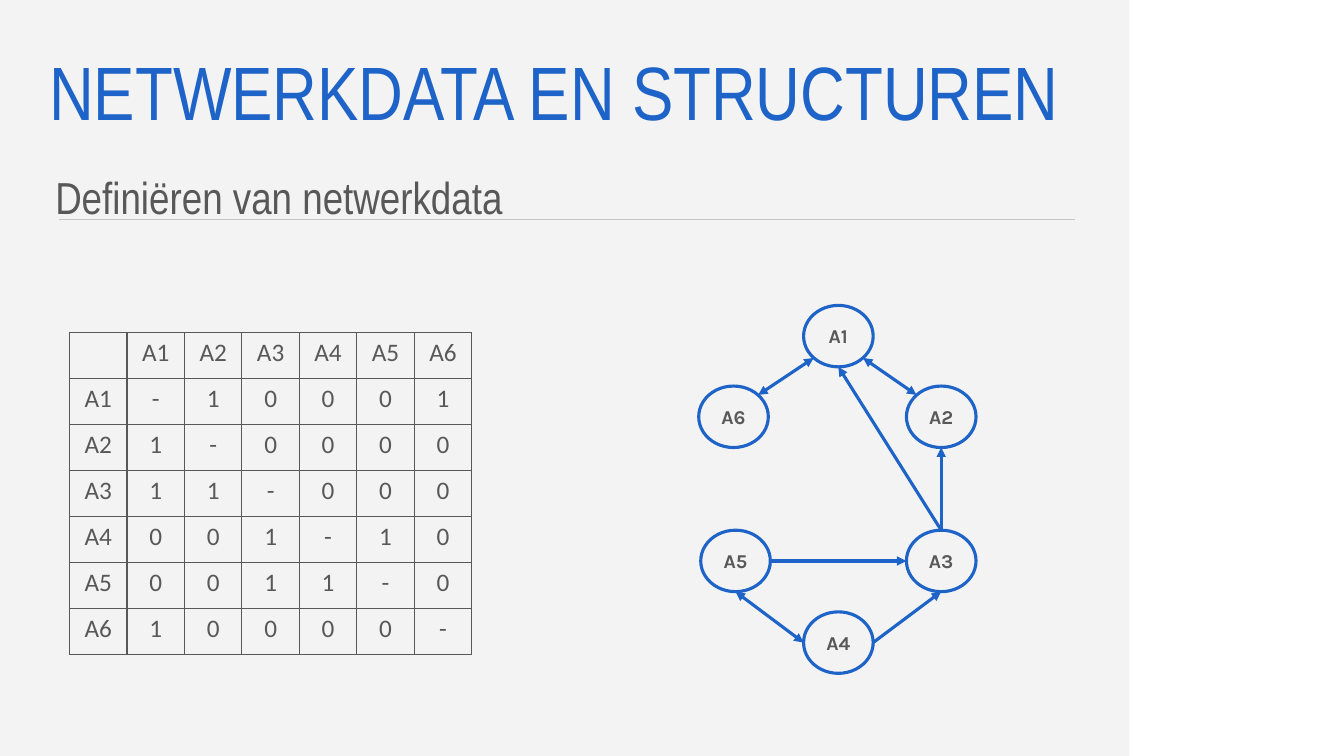
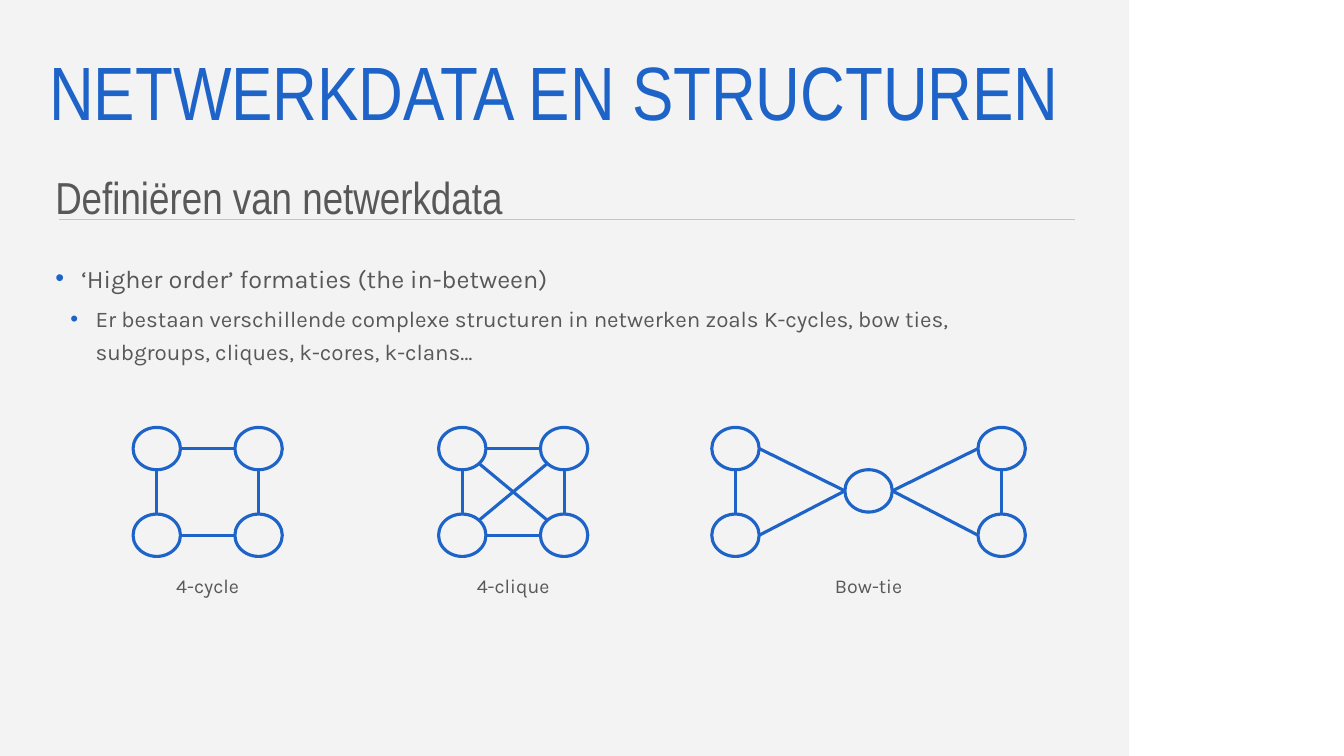
from lxml import etree
from pptx import Presentation
from pptx.dml.color import RGBColor
from pptx.enum.shapes import MSO_CONNECTOR, MSO_SHAPE
from pptx.enum.text import MSO_ANCHOR, PP_ALIGN
from pptx.oxml.ns import qn
from pptx.util import Inches, Pt

RECT, OVAL = MSO_SHAPE.RECTANGLE, MSO_SHAPE.OVAL
STRAIGHT = MSO_CONNECTOR.STRAIGHT
TOP, MIDDLE = MSO_ANCHOR.TOP, MSO_ANCHOR.MIDDLE
LEFT, CENTER = PP_ALIGN.LEFT, PP_ALIGN.CENTER

WHITE = RGBColor(0xFF, 0xFF, 0xFF)
PANEL = RGBColor(0xF3, 0xF3, 0xF3)
RULE = RGBColor(0xC6, 0xC6, 0xC6)
BLUE = RGBColor(0x1E, 0x64, 0xC8)
GREY = RGBColor(0x58, 0x58, 0x58)
HEAD_FONT, BODY_FONT, TABLE_FONT = "Arial Narrow", "Karla", "Calibri"

TITLE = "NETWERKDATA EN STRUCTUREN"
SUBTITLE = "Definiëren van netwerkdata"
BULLETS = [
    ("‘Higher order’ formaties (the in-between)", 18, 0.26, -0.26),
    ("Er bestaan verschillende complexe structuren in netwerken zoals K-cycles, "
     "bow ties, subgroups, cliques, k-cores, k-clans…", 16, 0.4, -0.25),
]

MATRIX = ["-10001", "1-0000", "11-000", "001-10", "0011-0", "10000-"]
ACTORS = [f"A{i}" for i in range(1, 7)]

DIAGONAL = 0.71
PORTS = {
    "t": (0, -1), "b": (0, 1), "l": (-1, 0), "r": (1, 0),
    "tl": (-DIAGONAL, -DIAGONAL), "tr": (DIAGONAL, -DIAGONAL),
    "bl": (-DIAGONAL, DIAGONAL), "br": (DIAGONAL, DIAGONAL),
}

ACTOR_SIZE = (0.69, 0.61)
ACTOR_NODES = {
    "A1": (1.04, 0), "A6": (0, 0.8), "A2": (2.06, 0.8),
    "A3": (2.06, 2.23), "A4": (1.04, 3.04), "A5": (0.02, 2.23),
}
ACTOR_LINKS = [
    ("A3", "t", "A1", "b", "one"), ("A5", "r", "A3", "l", "one"),
    ("A4", "r", "A3", "b", "one"), ("A6", "tr", "A1", "bl", "both"),
    ("A5", "b", "A4", "l", "both"), ("A1", "br", "A2", "tl", "both"),
    ("A3", "t", "A2", "b", "one"),
]

NODE_SIZE = (0.47, 0.42)
SQUARE = {"nw": (0, 0), "ne": (1.01, 0), "sw": (0, 0.86), "se": (1.01, 0.86)}
BOW = {"nw": (0, 0), "sw": (0, 0.86), "mid": (1.32, 0.42),
       "ne": (2.64, 0), "se": (2.64, 0.86)}
SIDES = [("nw", "b", "sw", "t", ""), ("ne", "b", "se", "t", "")]
CYCLE_LINKS = SIDES + [("nw", "r", "ne", "l", ""), ("sw", "r", "se", "l", "")]
CLIQUE_LINKS = CYCLE_LINKS + [("sw", "tr", "ne", "bl", ""), ("nw", "br", "se", "tl", "")]
BOW_LINKS = SIDES + [
    ("mid", "l", "nw", "r", ""), ("mid", "l", "sw", "r", ""),
    ("mid", "r", "ne", "l", ""), ("mid", "r", "se", "l", ""),
]
STRUCTURES = [
    ("4-cycle", 1.32, SQUARE, CYCLE_LINKS),
    ("4-clique", 4.35, SQUARE, CLIQUE_LINKS),
    ("Bow-tie", 7.06, BOW, BOW_LINKS),
]


def add_run(p, text, size, font, color=GREY, bold=False):
    """Append a formatted run to a paragraph."""
    r = p.add_run()
    r.text = text
    r.font.size, r.font.name, r.font.bold = Pt(size), font, bold
    r.font.color.rgb = color


def add_text_frame(s, box, anchor=TOP):
    """Add a wrapping text box and return its text frame."""
    tf = s.shapes.add_textbox(*map(Inches, box)).text_frame
    tf.word_wrap = True
    tf.vertical_anchor = anchor
    return tf


def add_text(s, box, text, size, font, color=GREY, spacing=1.0, align=LEFT, anchor=TOP):
    """Add a text box holding one paragraph."""
    p = add_text_frame(s, box, anchor).paragraphs[0]
    p.alignment, p.line_spacing = align, spacing
    add_run(p, text, size, font, color)


def add_line(s, start, end, color, width, arrow=""):
    """Draw a straight line with no arrowhead, one or both."""
    c = s.shapes.add_connector(STRAIGHT, *map(Inches, (*start, *end)))
    c.line.color.rgb, c.line.width = color, Pt(width)
    ends = {"one": ["tailEnd"], "both": ["headEnd", "tailEnd"]}.get(arrow, [])
    for tag in ends:
        etree.SubElement(c.line._get_or_add_ln(), qn(f"a:{tag}"), type="triangle")
    etree.SubElement(c._element.spPr, qn("a:effectLst"))


def add_frame(prs):
    """Add a slide with the shared panel, title, subtitle and rule."""
    s = prs.slides.add_slide(prs.slide_layouts[6])
    s.background.fill.solid()
    s.background.fill.fore_color.rgb = WHITE
    sp = s.shapes.add_shape(RECT, 0, 0, Inches(11.2), prs.slide_height)
    sp.shadow.inherit = False
    sp.fill.solid()
    sp.fill.fore_color.rgb = PANEL
    sp.line.fill.background()
    add_line(s, (0.59, 2.18), (10.66, 2.18), RULE, 0.5)
    add_text(s, (0.39, 0.36, 10.26, 1.19), TITLE, 54, HEAD_FONT, BLUE, 0.9, anchor=MIDDLE)
    add_text(s, (0.45, 1.53, 10.2, 0.71), SUBTITLE, 32, HEAD_FONT, spacing=1.2)
    return s


def add_node(s, box, label=""):
    """Add an outlined ellipse with an optional label."""
    sp = s.shapes.add_shape(OVAL, *map(Inches, box))
    sp.shadow.inherit = False
    sp.fill.background()
    sp.line.color.rgb, sp.line.width = BLUE, Pt(2.25)
    if label:
        tf = sp.text_frame
        tf.margin_left = tf.margin_right = tf.margin_top = tf.margin_bottom = 0
        tf.vertical_anchor = MIDDLE
        p = tf.paragraphs[0]
        p.alignment = CENTER
        add_run(p, label, 14, BODY_FONT, bold=True)


def add_graph(s, left, top, size, nodes, links, labelled=False):
    """Draw nodes and their links from the given top left corner."""
    w, h = size
    for name, (x, y) in nodes.items():
        add_node(s, (left + x, top + y, w, h), name if labelled else "")

    def port(name, side):
        """Return the point on a node's outline for a side."""
        (x, y), (dx, dy) = nodes[name], PORTS[side]
        return left + x + w / 2 * (1 + dx), top + y + h / 2 * (1 + dy)

    for a, a_side, b, b_side, arrow in links:
        add_line(s, port(a, a_side), port(b, b_side), BLUE, 2.25, arrow)


def add_border(cell):
    """Give all four sides of a table cell a thin grey line."""
    tc_pr = cell._tc.get_or_add_tcPr()
    for i, side in enumerate("LRTB"):
        ln = etree.Element(qn(f"a:ln{side}"), w=str(Pt(1)))
        fill = etree.SubElement(ln, qn("a:solidFill"))
        etree.SubElement(fill, qn("a:srgbClr"), val=str(GREY))
        tc_pr.insert(i, ln)


def add_matrix(s, left, top, col_width, row_height):
    """Add the adjacency matrix as a table."""
    rows = [["", *ACTORS]] + [[a, *values] for a, values in zip(ACTORS, MATRIX)]
    n = len(rows)
    box = (left, top, n * col_width, n * row_height)
    table = s.shapes.add_table(n, n, *map(Inches, box)).table
    table.first_row = table.horz_banding = False
    for i, row in enumerate(rows):
        table.columns[i].width = Inches(col_width)
        table.rows[i].height = Inches(row_height)
        for j, text in enumerate(row):
            cell = table.cell(i, j)
            cell.fill.background()
            add_border(cell)
            p = cell.text_frame.paragraphs[0]
            p.alignment = CENTER
            if text:
                add_run(p, text, 18, TABLE_FONT)


def add_bullets(s, box):
    """Add the bulleted explanation."""
    tf = add_text_frame(s, box)
    for i, (text, size, margin, indent) in enumerate(BULLETS):
        p = tf.add_paragraph() if i else tf.paragraphs[0]
        p.level = i
        p_pr = p._p.get_or_add_pPr()
        p_pr.set("marL", str(Inches(margin)))
        p_pr.set("indent", str(Inches(indent)))
        color = etree.SubElement(p_pr, qn("a:buClr"))
        etree.SubElement(color, qn("a:srgbClr"), val=str(BLUE))
        etree.SubElement(p_pr, qn("a:buFont"), typeface="Arial")
        etree.SubElement(p_pr, qn("a:buChar"), char="•")
        p.line_spacing = 1.2
        if i:
            p.space_before = Pt(5)
        add_run(p, text, size, BODY_FONT)


def add_structure(s, caption, left, top, nodes, links):
    """Draw an unlabelled graph with a centred caption below it."""
    add_graph(s, left, top, NODE_SIZE, nodes, links)
    width = max(x for x, _ in nodes.values()) + NODE_SIZE[0]
    caption_width = 2.37
    box = (left + (width - caption_width) / 2, top + 1.4, caption_width, 0.34)
    add_text(s, box, caption, 14, BODY_FONT, align=CENTER)


def matrix_slide(prs):
    """Build the slide with the matrix and its directed network."""
    s = add_frame(prs)
    add_matrix(s, 0.69, 3.3, 0.57, 0.456)
    add_graph(s, 6.93, 3.03, ACTOR_SIZE, ACTOR_NODES, ACTOR_LINKS, labelled=True)


def structures_slide(prs):
    """Build the slide with higher order structures."""
    s = add_frame(prs)
    add_bullets(s, (0.45, 2.5, 10.2, 4.88))
    for caption, left, nodes, links in STRUCTURES:
        add_structure(s, caption, left, 4.24, nodes, links)


def main():
    """Build and save the presentation."""
    prs = Presentation()
    prs.slide_width, prs.slide_height = Inches(13.33), Inches(7.5)
    matrix_slide(prs)
    structures_slide(prs)
    prs.save("out.pptx")


if __name__ == "__main__":
    main()
